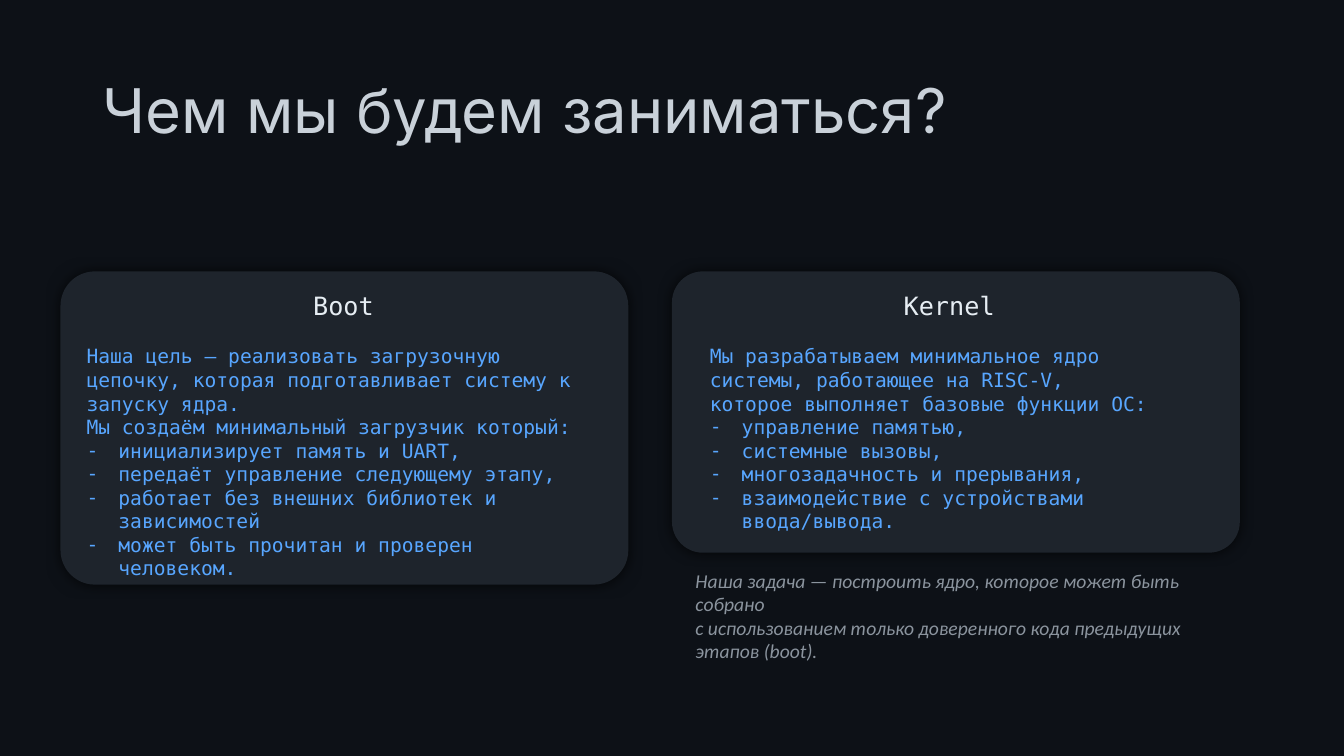
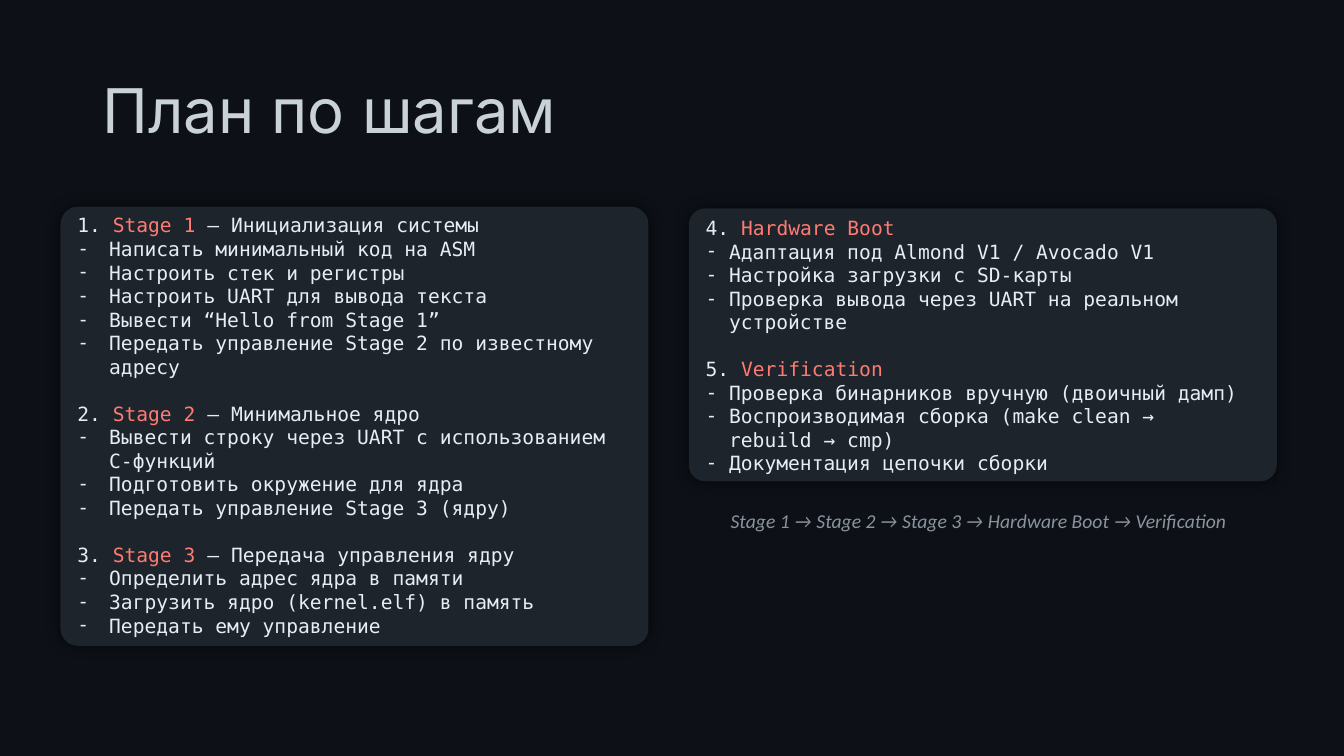
"""Build two dark slides about a boot chain and a minimal kernel."""
from copy import deepcopy

from lxml import etree
from pptx import Presentation
from pptx.dml.color import RGBColor
from pptx.enum.shapes import MSO_SHAPE
from pptx.enum.text import MSO_ANCHOR, MSO_AUTO_SIZE, PP_ALIGN
from pptx.oxml.ns import qn
from pptx.util import Pt

ROUNDED = MSO_SHAPE.ROUNDED_RECTANGLE
TOP, MIDDLE = MSO_ANCHOR.TOP, MSO_ANCHOR.MIDDLE
LEFT, NO_FIT = PP_ALIGN.LEFT, MSO_AUTO_SIZE.NONE

BACKGROUND = RGBColor(0x0D, 0x11, 0x17)
CARD = RGBColor(0x1E, 0x24, 0x2C)
SILVER = RGBColor(0xC9, 0xD1, 0xD9)
WHITE = RGBColor(0xE6, 0xED, 0xF3)
BLUE = RGBColor(0x58, 0xA6, 0xFF)
CORAL = RGBColor(0xFF, 0x7B, 0x72)
GRAY = RGBColor(0x8B, 0x94, 0x9E)

PX = 7620
SLIDE_SIZE = (1600, 900)
TITLE_BOX = (110, 48, 1380, 174)
WIDE_INDENT, NARROW_INDENT = 38, 28
SECTION_GAP = 16.8
TWO_CONTENT = 3
MONO = "DejaVu Sans Mono"

STYLES = {
    "title": {"name": "Inter", "size": Pt(44), "color": SILVER},
    "heading": {"name": MONO, "size": Pt(18), "color": WHITE},
    "goal": {"name": MONO, "size": Pt(14), "color": BLUE},
    "step": {"name": MONO, "size": Pt(14), "color": WHITE},
    "note": {"name": "Calibri", "size": Pt(14), "color": GRAY, "italic": True},
}

SLIDES = [
    {
        "title": "Чем мы будем заниматься?",
        "style": "goal",
        "columns": [
            {
                "card": (72, 323, 676, 373), "radius": 0.11,
                "heading": ("Boot", (361, 340, 96, 48)),
                "box": (91, 404, 637, 266), "indent": WIDE_INDENT,
                "lines": [
                    "Наша цель — реализовать загрузочную цепочку, "
                    "которая подготавливает систему к запуску ядра.",
                    "Мы создаём минимальный загрузчик который:",
                    "- инициализирует память и UART,",
                    "- передаёт управление следующему этапу,",
                    "- работает без внешних библиотек и зависимостей",
                    "- может быть прочитан и проверен человеком.",
                ],
            },
            {
                "card": (800, 323, 676, 335), "radius": 0.11,
                "heading": ("Kernel", (1064, 340, 138, 48)),
                "box": (833, 404, 607, 239), "indent": WIDE_INDENT,
                "lines": [
                    "Мы разрабатываем минимальное ядро системы, работающее "
                    "на RISC-V,\vкоторое выполняет базовые функции ОС:",
                    "- управление памятью,",
                    "- системные вызовы,",
                    "- многозадачность и прерывания,",
                    "- взаимодействие с устройствами ввода/вывода.",
                ],
            },
        ],
        "note": (
            "Наша задача — построить ядро, которое может быть собрано\v"
            "с использованием только доверенного кода предыдущих этапов (boot).",
            (816, 671, 642, 125),
        ),
    },
    {
        "title": "План по шагам",
        "style": "step",
        "columns": [
            {
                "card": (72, 246, 700, 523), "radius": 0.04,
                "box": (80, 248, 691, 521), "indent": WIDE_INDENT,
                "lines": [
                    ("1. ", "Stage 1", " — Инициализация системы"),
                    "- Написать минимальный код на ASM",
                    "- Настроить стек и регистры",
                    "- Настроить UART для вывода текста",
                    "- Вывести “Hello from Stage 1”",
                    "- Передать управление Stage 2 по известному адресу",
                    ("2. ", "Stage 2", " — Минимальное ядро"),
                    "- Вывести строку через UART с использованием C-функций",
                    "- Подготовить окружение для ядра",
                    "- Передать управление Stage 3 (ядру)",
                    ("3. ", "Stage 3", " — Передача управления ядру"),
                    "- Определить адрес ядра в памяти",
                    "- Загрузить ядро (kernel.elf) в память",
                    "- Передать ему управление",
                ],
            },
            {
                "card": (820, 248, 700, 325), "radius": 0.06,
                "box": (828, 251, 691, 323), "indent": NARROW_INDENT,
                "lines": [
                    ("4. ", "Hardware Boot"),
                    "- Адаптация под Almond V1 / Avocado V1",
                    "- Настройка загрузки с SD-карты",
                    "- Проверка вывода через UART на реальном устройстве",
                    ("5. ", "Verification"),
                    "- Проверка бинарников вручную (двоичный дамп)",
                    "- Воспроизводимая сборка (make clean →\vrebuild → cmp)",
                    "- Документация цепочки сборки",
                ],
            },
        ],
        "note": (
            "Stage 1 → Stage 2 → Stage 3 → Hardware Boot → Verification",
            (858, 600, 623, 41),
        ),
    },
]


def to_emu(box):
    return [length * PX for length in box]


def place(shape, box):
    shape.left, shape.top, shape.width, shape.height = to_emu(box)


def format_run(run, style):
    for attribute, value in style.items():
        if attribute == "color":
            run.font.color.rgb = value
        else:
            setattr(run.font, attribute, value)


def set_bullet(paragraph, indent):
    properties = paragraph._p.get_or_add_pPr()
    properties.set("marL", str(indent * PX))
    properties.set("indent", str(-indent * PX))
    if indent:
        etree.SubElement(properties, qn("a:buFont"), typeface=MONO)
        etree.SubElement(properties, qn("a:buChar"), char="-")
    else:
        etree.SubElement(properties, qn("a:buNone"))


def write_line(paragraph, line, style, indent):
    if isinstance(line, tuple):
        for part in line:
            paragraph.add_run().text = part
    else:
        paragraph.text = line.removeprefix("- ")
    for run in paragraph.runs:
        format_run(run, style)
    if isinstance(line, tuple):
        paragraph.runs[1].font.color.rgb = CORAL
    for line_break in paragraph._p.findall(qn("a:br")):
        line_break.insert(0, deepcopy(paragraph.runs[0]._r.rPr))
    set_bullet(paragraph, indent if line[:2] == "- " else 0)


def write(shape, box, lines, style_name, anchor=TOP, indent=0, wrap=True, spacing=1.0):
    place(shape, box)
    frame = shape.text_frame
    frame.word_wrap = wrap
    frame.auto_size = NO_FIT
    frame.vertical_anchor = anchor
    for index, line in enumerate(lines):
        paragraph = frame.add_paragraph() if index else frame.paragraphs[0]
        starts_section = index > 0 and isinstance(line, tuple)
        paragraph.alignment = LEFT
        paragraph.line_spacing = spacing
        paragraph.space_before = Pt(SECTION_GAP if starts_section else 0)
        write_line(paragraph, line, STYLES[style_name], indent)


def add_text(slide, text, box, style_name, **options):
    write(slide.shapes.add_textbox(*to_emu(box)), box, [text], style_name, **options)


def add_card(slide, box, radius):
    card = slide.shapes.add_shape(ROUNDED, *to_emu(box))
    card.adjustments[0] = radius
    card.fill.solid()
    card.fill.fore_color.rgb = CARD
    card.line.fill.background()
    card.shadow.inherit = False
    effects = card.element.spPr.find(qn("a:effectLst"))
    shadow = etree.SubElement(effects, qn("a:outerShdw"), blurRad=str(Pt(10)), dist="0", dir="0")
    color = etree.SubElement(shadow, qn("a:srgbClr"), val="000000")
    etree.SubElement(color, qn("a:alpha"), val="70000")
    slide.shapes.title.element.addprevious(card.element)


def build_slide(presentation, content):
    slide = presentation.slides.add_slide(presentation.slide_layouts[TWO_CONTENT])
    write(slide.shapes.title, TITLE_BOX, [content["title"]], "title", anchor=MIDDLE, spacing=0.9)
    for index, column in enumerate(content["columns"], start=1):
        add_card(slide, column["card"], column["radius"])
        write(slide.placeholders[index], column["box"], column["lines"],
              content["style"], indent=column["indent"])
        if "heading" in column:
            add_text(slide, *column["heading"], "heading", anchor=MIDDLE, wrap=False)
    add_text(slide, *content["note"], "note")


def main():
    presentation = Presentation()
    presentation.slide_width, presentation.slide_height = to_emu(SLIDE_SIZE)
    background = presentation.slide_master.background.fill
    background.solid()
    background.fore_color.rgb = BACKGROUND
    for content in SLIDES:
        build_slide(presentation, content)
    presentation.save("out.pptx")


if __name__ == "__main__":
    main()
